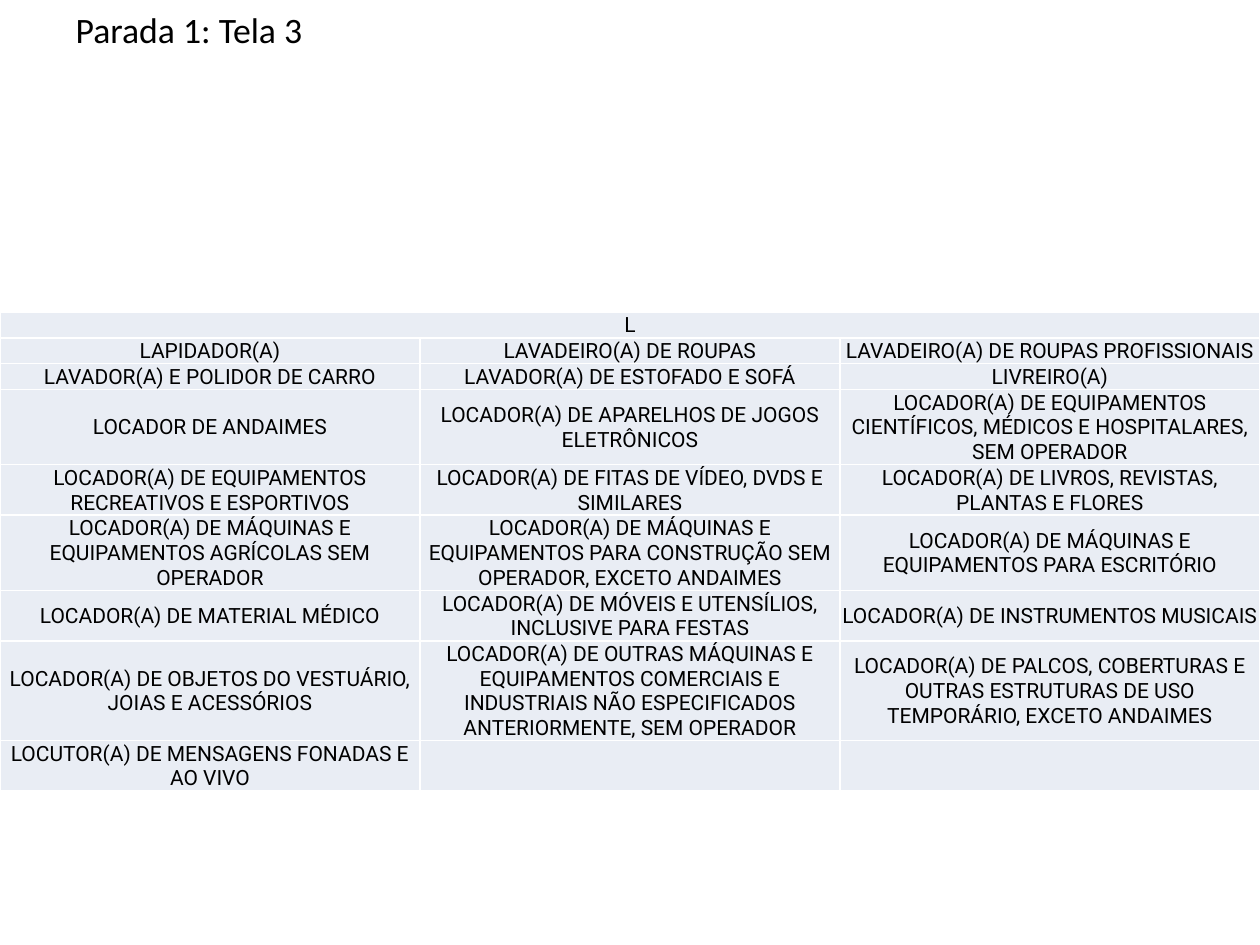
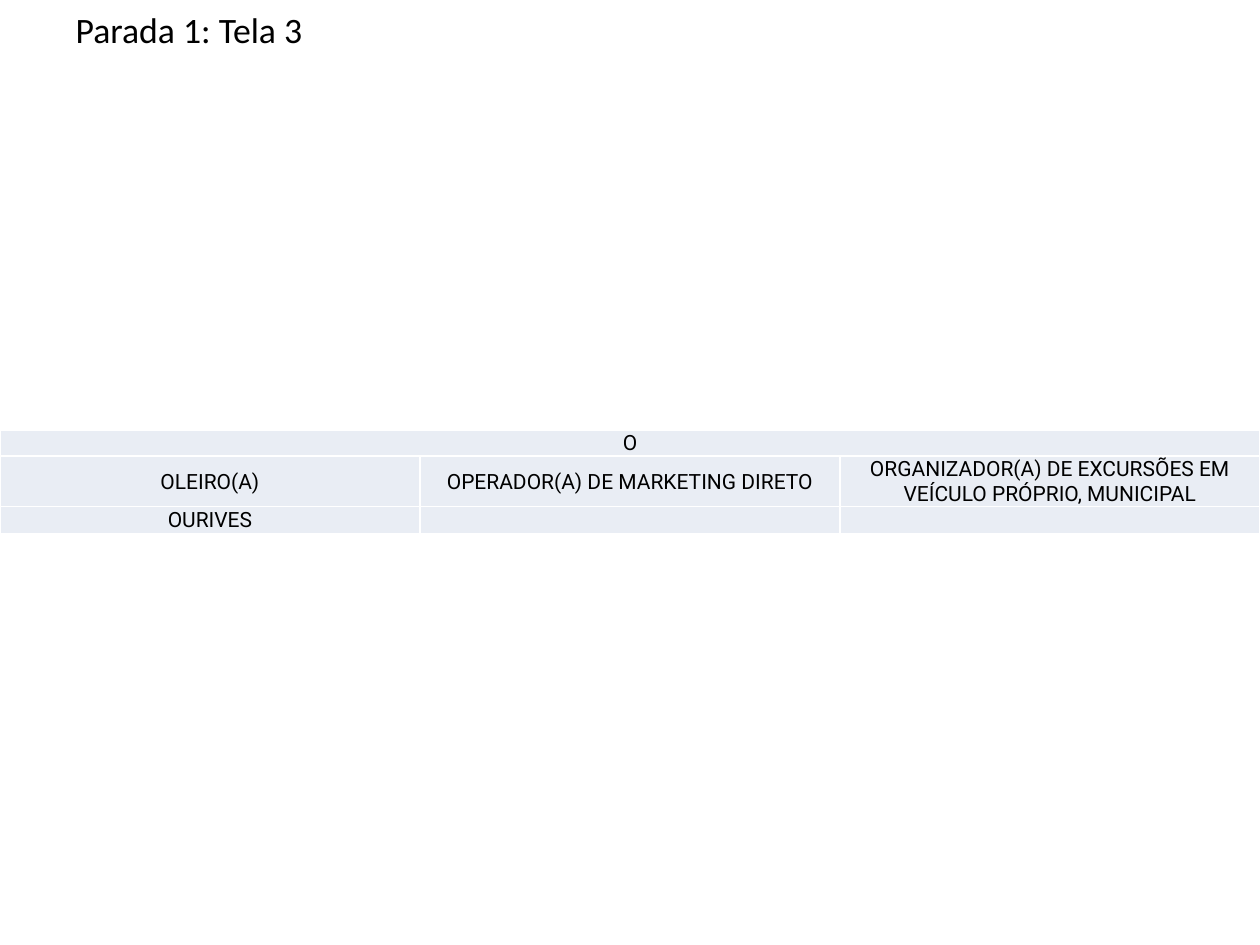
"""Builds two slides that list occupations by initial letter."""
from lxml import etree
from pptx import Presentation
from pptx import util as u
from pptx.dml.color import RGBColor
from pptx.enum import text
from pptx.oxml.ns import qn

COLORS = {"ink": "000000", "cell": "E9EDF4", "border": "FFFFFF"}
TITLE = "Parada 1: Tela 3"
TITLE_ONLY = 5
COLUMNS = 3
CELL_SIZE = u.Pt(12)
LINE_HEIGHT = u.Pt(14.25)

OCCUPATIONS_L = [
    (1, ["LAPIDADOR(A)", "LAVADEIRO(A) DE ROUPAS",
         "LAVADEIRO(A) DE ROUPAS PROFISSIONAIS"]),
    (1, ["LAVADOR(A) E POLIDOR DE CARRO", "LAVADOR(A) DE ESTOFADO E SOFÁ",
         "LIVREIRO(A)"]),
    (3, ["LOCADOR DE ANDAIMES",
         "LOCADOR(A) DE APARELHOS DE JOGOS ELETRÔNICOS",
         "LOCADOR(A) DE EQUIPAMENTOS CIENTÍFICOS, MÉDICOS E HOSPITALARES, "
         "SEM OPERADOR"]),
    (2, ["LOCADOR(A) DE EQUIPAMENTOS RECREATIVOS E ESPORTIVOS",
         "LOCADOR(A) DE FITAS DE VÍDEO, DVDS E SIMILARES",
         "LOCADOR(A) DE LIVROS, REVISTAS, PLANTAS E FLORES"]),
    (3, ["LOCADOR(A) DE MÁQUINAS E EQUIPAMENTOS AGRÍCOLAS SEM OPERADOR",
         "LOCADOR(A) DE MÁQUINAS E EQUIPAMENTOS PARA CONSTRUÇÃO SEM "
         "OPERADOR, EXCETO ANDAIMES",
         "LOCADOR(A) DE MÁQUINAS E EQUIPAMENTOS PARA ESCRITÓRIO"]),
    (2, ["LOCADOR(A) DE MATERIAL MÉDICO",
         "LOCADOR(A) DE MÓVEIS E UTENSÍLIOS, INCLUSIVE PARA FESTAS",
         "LOCADOR(A) DE INSTRUMENTOS MUSICAIS"]),
    (4, ["LOCADOR(A) DE OBJETOS DO VESTUÁRIO, JOIAS E ACESSÓRIOS",
         "LOCADOR(A) DE OUTRAS MÁQUINAS E EQUIPAMENTOS COMERCIAIS E "
         "INDUSTRIAIS NÃO ESPECIFICADOS ANTERIORMENTE, SEM OPERADOR",
         "LOCADOR(A) DE PALCOS, COBERTURAS E OUTRAS ESTRUTURAS DE USO "
         "TEMPORÁRIO, EXCETO ANDAIMES"]),
    (2, ["LOCUTOR(A) DE MENSAGENS FONADAS E AO VIVO", "", ""]),
]
OCCUPATIONS_O = [
    (2, ["OLEIRO(A)", "OPERADOR(A) DE MARKETING DIRETO",
         "ORGANIZADOR(A) DE EXCURSÕES EM VEÍCULO PRÓPRIO, MUNICIPAL"]),
    (1, ["OURIVES", "", ""]),
]


def format_font(font, name, size):
    """Apply the typeface, size and ink colour."""
    font.name, font.size = name, size
    font.color.rgb = RGBColor.from_string(COLORS["ink"])


def add_title_slide(prs):
    """Add a title-only slide with the shared title."""
    s = prs.slides.add_slide(prs.slide_layouts[TITLE_ONLY])
    sp = s.shapes.title
    sp.left, sp.top = int(prs.slide_width * 0.05), u.Inches(0.01)
    sp.width, sp.height = int(prs.slide_width * 0.9), int(prs.slide_height * 0.05)
    tf = sp.text_frame
    tf.text = TITLE
    tf.word_wrap = True
    tf.auto_size = text.MSO_AUTO_SIZE.NONE
    tf.vertical_anchor = text.MSO_ANCHOR.TOP
    p = tf.paragraphs[0]
    p.alignment = text.PP_ALIGN.LEFT
    p.space_before = u.Pt(0)
    format_font(p.runs[0].font, "Calibri", u.Pt(20.4))
    return s


def add_borders(cell):
    """Draw a one-point border on each side of a cell."""
    props = cell._tc.get_or_add_tcPr()
    for side in ("lnL", "lnR", "lnT", "lnB"):
        line = etree.SubElement(props, qn(f"a:{side}"), w=str(u.Pt(1)))
        fill = etree.SubElement(line, qn("a:solidFill"))
        etree.SubElement(fill, qn("a:srgbClr"), val=COLORS["border"])


def fill_cell(cell, label):
    """Write and format one table cell."""
    add_borders(cell)
    cell.fill.solid()
    cell.fill.fore_color.rgb = RGBColor.from_string(COLORS["cell"])
    cell.margin_left = cell.margin_right = cell.margin_top = u.Inches(0.01)
    cell.margin_bottom = 0
    cell.vertical_anchor = text.MSO_ANCHOR.MIDDLE
    p = cell.text_frame.paragraphs[0]
    p.text = label
    p.alignment = text.PP_ALIGN.CENTER
    for r in p.runs:
        format_font(r.font, "Roboto", CELL_SIZE)
    if not label:
        etree.SubElement(p._p, qn("a:endParaRPr"), sz=str(int(CELL_SIZE.pt * 100)))


def add_occupation_table(prs, s, top, letter, occupations):
    """Add a full-width table headed by a letter."""
    rows = [(1, [letter] + [""] * (COLUMNS - 1))] + occupations
    height = LINE_HEIGHT * sum(lines for lines, _ in rows)
    table = s.shapes.add_table(len(rows), COLUMNS, 0, int(prs.slide_height * top),
                               prs.slide_width, height).table
    table.first_row = table.horz_banding = False
    for i, (lines, labels) in enumerate(rows):
        table.rows[i].height = LINE_HEIGHT * lines
        for j, label in enumerate(labels):
            fill_cell(table.cell(i, j), label)
    table.cell(0, 0).merge(table.cell(0, COLUMNS - 1))


def main():
    """Build and save the presentation."""
    prs = Presentation()
    prs.slide_width, prs.slide_height = u.Inches(10), u.Inches(7.5)
    for letter, top, occupations in (("L", 0.33, OCCUPATIONS_L),
                                     ("O", 0.455, OCCUPATIONS_O)):
        s = add_title_slide(prs)
        add_occupation_table(prs, s, round(top, 3), letter, occupations)
    prs.save("out.pptx")


if __name__ == "__main__":
    main()
